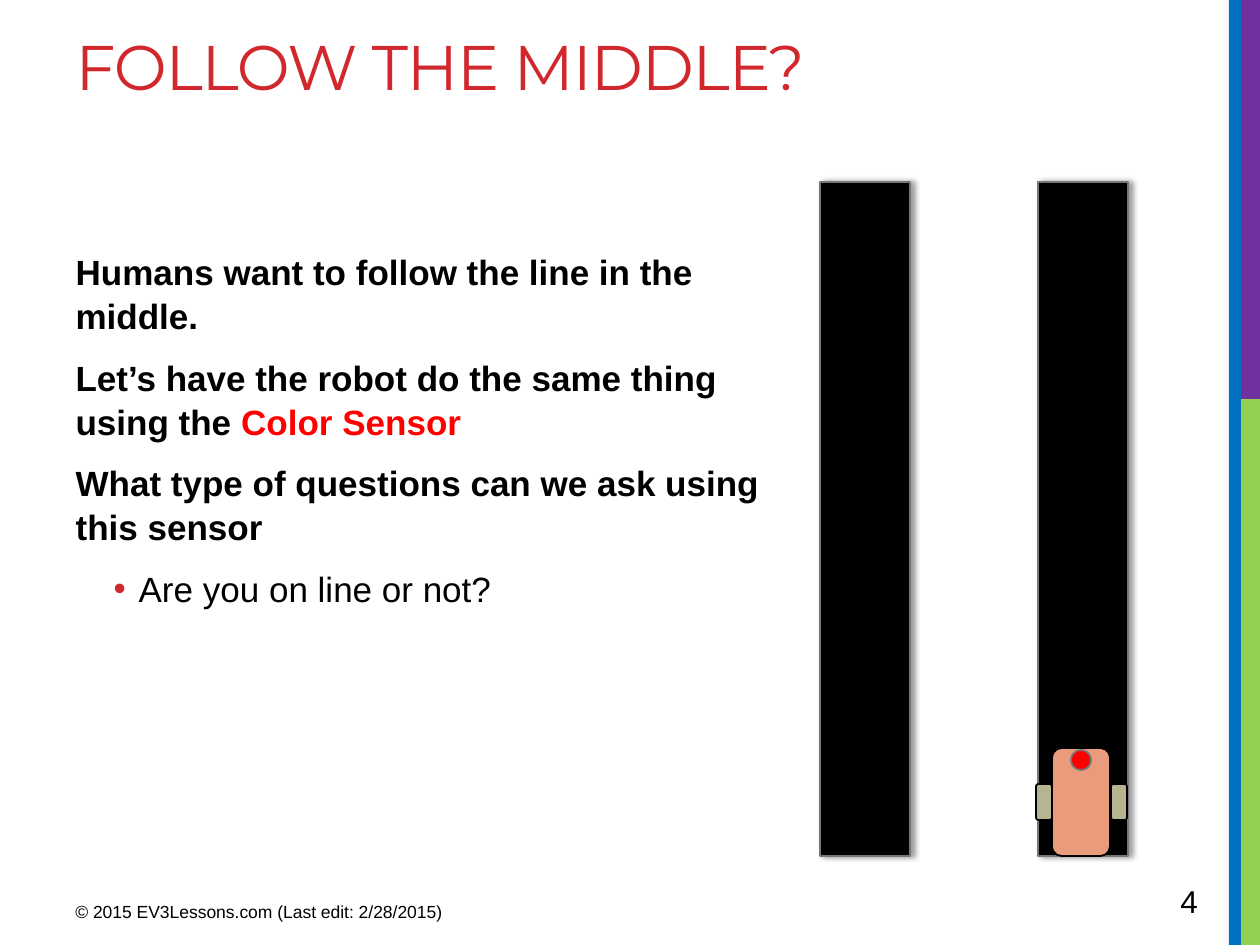
import pptx
import pptx.dml.color
import pptx.enum.shapes
import pptx.enum.text
import pptx.oxml
import pptx.oxml.ns
import pptx.util

RGBColor = pptx.dml.color.RGBColor
Shape = pptx.enum.shapes.MSO_SHAPE

BLACK = RGBColor(0x00, 0x00, 0x00)
RED = RGBColor(0xFF, 0x00, 0x00)
CRIMSON = RGBColor(0xD1, 0x28, 0x2E)
GRAY = RGBColor(0x77, 0x77, 0x77)
GREEN = RGBColor(0x92, 0xD0, 0x50)
PURPLE = RGBColor(0x70, 0x30, 0xA0)
BLUE = RGBColor(0x00, 0x70, 0xC0)
SALMON = RGBColor(0xEA, 0x9B, 0x7C)
KHAKI = RGBColor(0xB6, 0xB5, 0x90)

SCALE = 914400 / 126
NAMESPACE = pptx.oxml.ns.nsdecls("a")


def px(length):
    return pptx.util.Emu(round(length * SCALE))


def place(shape, left, top, width, height):
    shape.left, shape.top = px(left), px(top)
    shape.width, shape.height = px(width), px(height)


def set_font(paragraph, name, size, color, bold=False):
    font = paragraph.font
    font.name, font.size, font.bold = name, pptx.util.Pt(size), bold
    font.color.rgb = color


def add_block(shapes, kind, box, fill, line=None):
    shape = shapes.add_shape(kind, *map(px, box))
    shape.shadow.inherit = False
    shape.fill.solid()
    shape.fill.fore_color.rgb = fill
    if line is None:
        shape.line.fill.background()
    else:
        shape.line.color.rgb = line
        shape.line.width = pptx.util.Pt(1)
    return shape


def add_shadow(shape):
    effects = shape._element.spPr.find(pptx.oxml.ns.qn("a:effectLst"))
    effects.append(pptx.oxml.parse_xml(
        f'<a:outerShdw {NAMESPACE} blurRad="39370" dist="22860" dir="0" rotWithShape="0">'
        '<a:srgbClr val="000000"><a:alpha val="40000"/></a:srgbClr></a:outerShdw>'))


def set_bullet(paragraph, left, indent, character=None):
    properties = paragraph._p.get_or_add_pPr()
    properties.set("marL", str(px(left)))
    properties.set("indent", str(px(indent)))
    if character is None:
        bullets = [f"<a:buNone {NAMESPACE}/>"]
    else:
        bullets = [
            f'<a:buClr {NAMESPACE}><a:srgbClr val="{CRIMSON}"/></a:buClr>',
            f'<a:buFont {NAMESPACE} typeface="Arial"/>',
            f'<a:buChar {NAMESPACE} char="{character}"/>',
        ]
    for bullet in bullets:
        properties.append(pptx.oxml.parse_xml(bullet))


def fill_title(title):
    place(title, 63, 21, 1137, 189)
    frame = title.text_frame
    frame.text = "FOLLOW THE MIDDLE?"
    frame.vertical_anchor = pptx.enum.text.MSO_ANCHOR.TOP
    paragraph = frame.paragraphs[0]
    paragraph.alignment = pptx.enum.text.PP_ALIGN.LEFT
    set_font(paragraph, "Montserrat", 36, CRIMSON)
    paragraph._p.pPr.find(pptx.oxml.ns.qn("a:defRPr")).set("spc", "-60")


def fill_body(body):
    place(body, 63, 242, 718, 602)
    frame = body.text_frame
    frame.auto_size = pptx.enum.text.MSO_AUTO_SIZE.NONE
    items = [
        (0, ["Humans want to follow the line in the middle."]),
        (0, ["Let’s have the robot do the same thing using the ", "Color Sensor"]),
        (0, ["What type of questions can we ask using this sensor"]),
        (1, ["Are you on line or not?"]),
    ]
    for index, (level, texts) in enumerate(items):
        paragraph = frame.add_paragraph() if index else frame.paragraphs[0]
        paragraph.level = level
        if level:
            set_bullet(paragraph, 63, -25, "•")
        else:
            set_bullet(paragraph, 0, 0)
        paragraph.line_spacing = 1.05
        paragraph.space_before = pptx.util.Pt(4 if index else 0)
        paragraph.space_after = pptx.util.Pt(0 if level else 6)
        set_font(paragraph, "Arial", 20, BLACK, bold=level == 0)
        for text in texts:
            run = paragraph.add_run()
            run.text = text
            if text == "Color Sensor":
                run.font.color.rgb = RED


def add_label(shapes, text, box, size):
    frame = shapes.add_textbox(*map(px, box)).text_frame
    frame.word_wrap = True
    frame.text = text
    set_font(frame.paragraphs[0], "Arial", size, BLACK)


def add_robot(shapes):
    parts = shapes.add_group_shape().shapes
    add_block(parts, Shape.ROUNDED_RECTANGLE, (1052, 748, 58, 108), SALMON, BLACK)
    for left in (1111, 1036):
        add_block(parts, Shape.ROUNDED_RECTANGLE, (left, 784, 16, 36), KHAKI, BLACK)
    add_block(parts, Shape.OVAL, (1071, 750, 20, 20), RED, GRAY)


def main():
    presentation = pptx.Presentation()
    presentation.slide_width, presentation.slide_height = px(1260), px(945)
    slide = presentation.slides.add_slide(presentation.slide_layouts[1])
    shapes = slide.shapes

    for box, color in [
        ((1240, 399, 20, 546), GREEN),
        ((1235, 0, 25, 399), PURPLE),
        ((1229, 0, 12, 945), BLUE),
    ]:
        add_block(shapes, Shape.RECTANGLE, box, color)

    fill_title(shapes.title)
    fill_body(slide.placeholders[1])
    add_label(shapes, "© 2015 EV3Lessons.com (Last edit: 2/28/2015)", (63, 895, 473, 39), 10)
    add_label(shapes, "4", (1168, 876, 92, 50), 18)

    for left in (820, 1038):
        add_shadow(add_block(shapes, Shape.RECTANGLE, (left, 182, 90, 674), BLACK, GRAY))
    add_robot(shapes)

    presentation.save("out.pptx")


if __name__ == "__main__":
    main()
